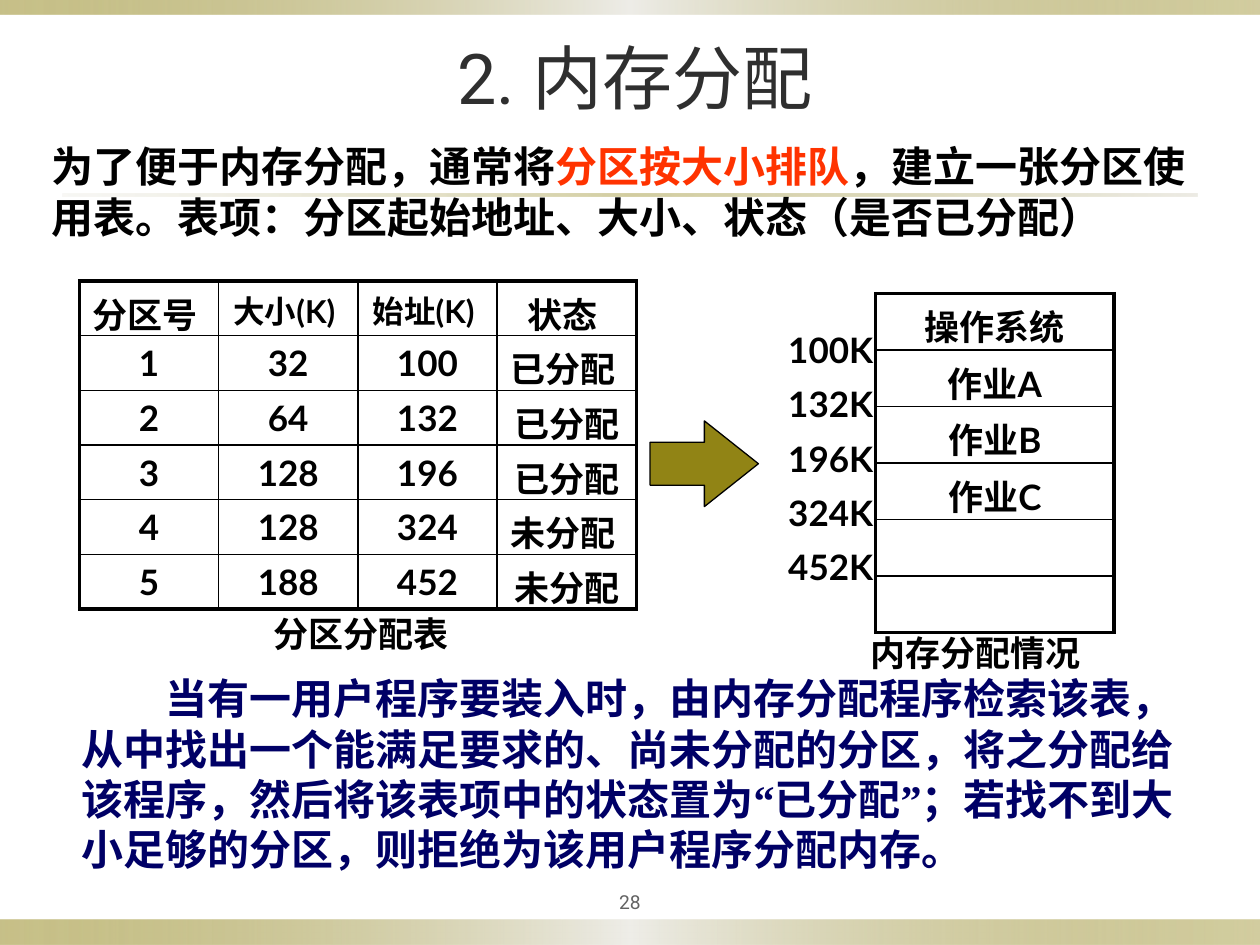
import pptx
import pptx.dml.color
import pptx.enum.shapes
import pptx.enum.text
import pptx.oxml
import pptx.oxml.ns
import pptx.util
from lxml import etree

Pt = pptx.util.Pt
SHAPE = pptx.enum.shapes.MSO_SHAPE
ANCHOR = pptx.enum.text.MSO_ANCHOR
ALIGN = pptx.enum.text.PP_ALIGN
qn = pptx.oxml.ns.qn
CJK, LATIN = "Noto Sans CJK SC", "Lato"
QUOTE = "Times New Roman"
OLIVE, PALE, SAND = "918415", "EEEDE8", "DCD9CC"
BLACK, RED, NAVY = "000000", "FF3300", "000066"


def color(value):
    return pptx.dml.color.RGBColor.from_string(value)


def write(para, text, size=20, font=LATIN, ink=BLACK, bold=True, east=CJK):
    span = para.add_run()
    span.text = text
    span.font.size = Pt(size)
    span.font.bold = bold
    span.font.name = font
    span.font.color.rgb = color(ink)
    etree.SubElement(span.font._element, qn("a:ea")).set("typeface", east)


class SlideMaker:
    thin, thick = 1, 2.25

    def __init__(self, deck):
        self.slide = deck.slides.add_slide(deck.slide_layouts[6])

    def shape(self, kind, place):
        shape = self.slide.shapes.add_shape(kind, *map(Pt, place))
        shape.shadow.inherit = False
        return shape

    def band(self, place, stops):
        """Rectangle with a horizontal gradient of (position, colour, opacity)."""
        band = self.shape(SHAPE.RECTANGLE, place)
        band.line.fill.background()
        band.fill.gradient()
        band.fill.gradient_angle = 0
        stop_list = band._element.spPr.find(".//" + qn("a:gsLst"))
        for stop in list(stop_list):
            stop_list.remove(stop)
        for position, value, opacity in stops:
            stop = etree.SubElement(stop_list, qn("a:gs"), pos=str(position * 1000))
            tint = etree.SubElement(stop, qn("a:srgbClr"), val=value)
            etree.SubElement(tint, qn("a:alpha"), val=str(opacity * 1000))

    def arrow(self, place):
        arrow = self.shape(SHAPE.RIGHT_ARROW, place)
        arrow.adjustments[0], arrow.adjustments[1] = 0.5, 0.63
        arrow.fill.solid()
        arrow.fill.fore_color.rgb = color(OLIVE)
        arrow.line.color.rgb = color(BLACK)
        arrow.line.width = Pt(0.75)

    def text(self, place, paragraphs, align=ALIGN.LEFT, anchor=ANCHOR.TOP,
             gap=0, indent=0, right=7.2):
        """Each paragraph is a list of (text, format) pairs."""
        frame = self.slide.shapes.add_textbox(*map(Pt, place)).text_frame
        frame.word_wrap = True
        frame.vertical_anchor = anchor
        frame.margin_right = Pt(right)
        for index, spans in enumerate(paragraphs):
            para = frame.add_paragraph() if index else frame.paragraphs[0]
            para.alignment = align
            if index:
                para.space_before = Pt(gap)
            if indent:
                para._p.get_or_add_pPr().set("indent", str(Pt(indent)))
            for words, style in spans:
                write(para, words, **style)

    def border(self, cell, row, column, last_row, last_column):
        properties = cell._tc.get_or_add_tcPr()
        edges = (("a:lnL", column == 0), ("a:lnR", column == last_column),
                 ("a:lnT", row == 0), ("a:lnB", row == last_row))
        for index, (tag, outer) in enumerate(edges):
            width = self.thick if outer else self.thin
            line = etree.Element(qn(tag), w=str(Pt(width)))
            fill = etree.SubElement(line, qn("a:solidFill"))
            etree.SubElement(fill, qn("a:srgbClr"), val=BLACK)
            properties.insert(index, line)

    def table(self, place, rows):
        """Each cell is a list of (text, format) pairs."""
        height, width = len(rows), len(rows[0])
        frame = self.slide.shapes.add_table(height, width, *map(Pt, place))
        table = frame.table
        table.first_row = table.horz_banding = False
        for line in table.rows:
            line.height = Pt(place[3] / height)
        for r, row in enumerate(rows):
            for c, spans in enumerate(row):
                cell = table.cell(r, c)
                cell.fill.background()
                self.border(cell, r, c, height - 1, width - 1)
                para = cell.text_frame.paragraphs[0]
                para.alignment = ALIGN.CENTER
                for words, style in spans:
                    write(para, words, **style)


def main():
    deck = pptx.Presentation()
    deck.slide_width, deck.slide_height = Pt(720), Pt(540)
    maker = SlideMaker(deck)

    # Decorative bands
    edge = [(0, OLIVE, 50), (50, PALE, 100), (100, OLIVE, 40)]
    maker.band((0, 525.6, 720, 14.4), edge)
    maker.band((0, 0, 720, 8.4), edge)
    maker.band((36, 110.8, 648, 1.4),
               [(0, SAND, 20), (50, OLIVE, 40), (100, SAND, 50)])

    # Title and page number
    title = dict(size=40, ink="2F2F2F", bold=False)
    maker.text((38.9, -1.4, 648, 90),
               [[("2. ", dict(title, font="Roboto")), ("内存分配", dict(title, font=CJK))]],
               ALIGN.CENTER, ANCHOR.MIDDLE)
    maker.text((324, 504, 72, 22.3),
               [[("28", dict(size=11, font="Roboto", ink="636363", bold=False))]],
               ALIGN.CENTER, ANCHOR.MIDDLE)

    # Introduction
    body = dict(size=24, font=CJK)
    maker.text((22.3, 77, 669.6, 65.5), [[
        ("为了便于内存分配，通常将", body),
        ("分区按大小排队", dict(body, ink=RED)),
        ("，建立一张分区使用表。表项：分区起始地址、大小、状态（是否已分配）", body)]])

    # Partition table
    cjk = dict(font=CJK)
    small, small_cjk = dict(size=18), dict(size=18, font=CJK)
    rows = [[[("分区号 ", cjk)],
             [("大小", small_cjk), ("(K) ", small)],
             [("始址", small_cjk), ("(K) ", small)],
             [("状态 ", cjk)]]]
    partitions = [(32, 100, "已分配 "), (64, 132, "已分配"), (128, 196, "已分配"),
                  (128, 324, "未分配 "), (188, 452, "未分配")]
    for number, (size, start, state) in enumerate(partitions, 1):
        rows.append([[(str(value), {})] for value in (number, size, start)]
                    + [[(state, cjk)]])
    maker.table((45.4, 160.6, 318.2, 187.2), rows)
    maker.text((48, 346.3, 316.8, 31), [[("分区分配表", {})]], ALIGN.CENTER)

    # Memory layout
    blocks = ["操作系统", "作业A", "作业B", "作业C", "", ""]
    maker.table((500.4, 167.8, 136.1, 193.7),
                [[[(name, {})] if name else []] for name in blocks])
    maker.text((410.4, 184.3, 90, 160.6),
               [[(f"{start}K", {})] for _, start, _ in partitions],
               ALIGN.RIGHT, gap=7, right=1.4)
    maker.text((420.5, 357.1, 274.3, 31), [[("内存分配情况", {})]], ALIGN.CENTER)
    maker.arrow((371.5, 240.5, 61.9, 49))

    # Explanation
    navy = dict(body, ink=NAVY)
    quote = dict(navy, font=QUOTE, east=QUOTE)
    maker.text((39.6, 380.9, 658.8, 122.4), [[
        ("当有一用户程序要装入时，由内存分配程序检索该表，从中找出一个能满足要求的、"
         "尚未分配的分区，将之分配给该程序，然后将该表项中的状态置为", navy),
        ("“", quote), ("已分配", navy), ("”", quote),
        ("；若找不到大小足够的分区，则拒绝为该用户程序分配内存。", navy)]], indent=48)

    deck.save("out.pptx")


if __name__ == "__main__":
    main()
